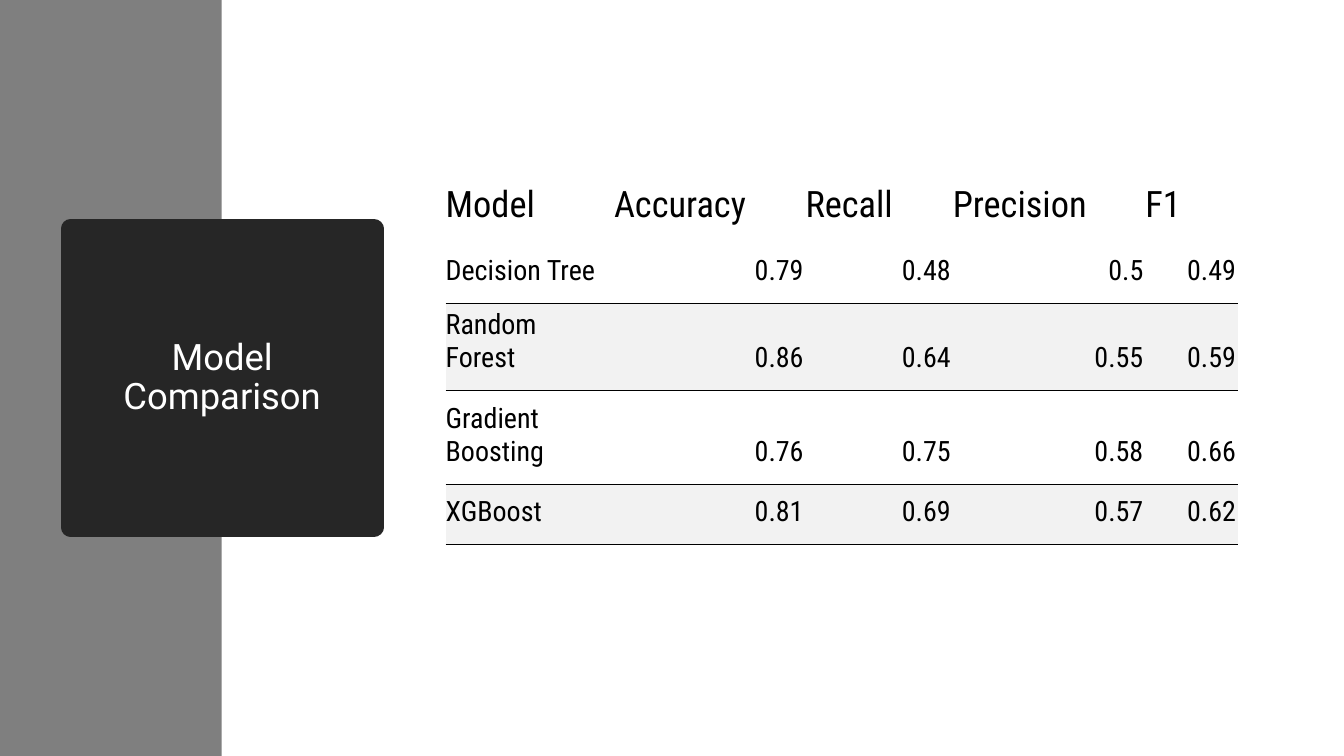
from dataclasses import dataclass

from lxml.etree import SubElement
from pptx import Presentation
from pptx.dml.color import RGBColor as RGB
from pptx.enum.shapes import MSO_SHAPE as SHAPE
from pptx.enum.text import MSO_ANCHOR as ANCHOR, MSO_AUTO_SIZE as AUTO, PP_ALIGN as ALIGN
from pptx.oxml.ns import qn
from pptx.util import Inches, Pt


@dataclass(frozen=True)
class Theme:
    """Colours, fonts and type sizes of the slide."""
    band: RGB = RGB(0x7F, 0x7F, 0x7F)
    card: RGB = RGB(0x26, 0x26, 0x26)
    stripe: RGB = RGB(0xF2, 0xF2, 0xF2)
    white: RGB = RGB(0xFF, 0xFF, 0xFF)
    black: RGB = RGB(0, 0, 0)
    title_font: str = "Roboto"
    table_font: str = "Roboto Condensed"
    large: int = 26
    body: int = 20


THEME = Theme()
NO_STYLE = "{2D5ABB26-0587-4C30-8999-92F81FD0307C}"
COL_WIDTHS = (1.67, 1.9, 1.46, 1.91, 0.92)
ROW_HEIGHTS = (0.7, 0.6, 0.6, 0.93, 0.6, 0.65)
HEADER = ("Model", "Accuracy", "Recall", "Precision", "F1")
SCORES = (
    ("Decision Tree", "0.79", "0.48", "0.5", "0.49"),
    ("Random Forest", "0.86", "0.64", "0.55", "0.59"),
    ("Gradient Boosting", "0.76", "0.75", "0.58", "0.66"),
    ("XGBoost", "0.81", "0.69", "0.57", "0.62"),
)


def add_run(p, text, font, size, color):
    """Add one formatted run to a paragraph."""
    r = p.add_run()
    r.text = text
    r.font.name, r.font.size = font, Pt(size)
    r.font.color.rgb = color


def add_band(slide, x, y, w, h):
    """Draw the plain side band."""
    sp = slide.shapes.add_shape(SHAPE.RECTANGLE, Inches(x), Inches(y), Inches(w), Inches(h))
    sp.shadow.inherit = False
    sp.fill.solid()
    sp.fill.fore_color.rgb = THEME.band
    sp.line.fill.background()


def add_title_card(slide, x, y, w, h):
    """Format the title as a dark card in front of the band."""
    sp = slide.shapes.title
    sp.left, sp.top, sp.width, sp.height = (Inches(v) for v in (x, y, w, h))
    sp.fill.solid()
    sp.fill.fore_color.rgb = THEME.card
    sp.line.color.rgb = THEME.card
    sp.line.width = Pt(13.75)
    SubElement(sp.line._get_or_add_ln(), qn("a:round"))
    tf = sp.text_frame
    tf.word_wrap, tf.auto_size = True, AUTO.NONE
    tf.vertical_anchor = ANCHOR.MIDDLE
    p = tf.paragraphs[0]
    p.alignment, p.line_spacing = ALIGN.CENTER, 0.9
    add_run(p, "Model Comparison", THEME.title_font, THEME.large, THEME.white)
    slide.shapes._spTree.append(sp._element)


def set_border(cell, side):
    """Rule one side of a cell, ahead of its fill."""
    tcPr = cell._tc.get_or_add_tcPr()
    ln = SubElement(tcPr, qn(f"a:{side}"), w=str(Pt(0.75)))
    fill = SubElement(ln, qn("a:solidFill"))
    SubElement(fill, qn("a:srgbClr"), val=str(THEME.black))
    tcPr.insert(0, ln)


def fill_cell(cell, text, row, col):
    """Write and format one cell by its place in the table."""
    header = row == 0
    cell.vertical_anchor = ANCHOR.BOTTOM
    cell.margin_left, cell.margin_bottom = 0, Inches(0.16)
    cell.margin_right = Inches(0.37 if header else 0.02)
    cell.margin_top = Inches(0.03 if header else 0.05)
    p = cell.text_frame.paragraphs[0]
    p.alignment = ALIGN.LEFT if header or col == 0 else ALIGN.RIGHT
    size = THEME.large if header else THEME.body
    add_run(p, text, THEME.table_font, size, THEME.black)
    if header:
        return
    if row % 2:
        set_border(cell, "lnB")
    else:
        cell.fill.solid()
        cell.fill.fore_color.rgb = THEME.stripe
        set_border(cell, "lnT")


def add_score_table(slide, x, y):
    """Place the table of model scores, with its empty last row."""
    frame = slide.shapes.add_table(
        len(ROW_HEIGHTS), len(COL_WIDTHS), Inches(x), Inches(y),
        Inches(sum(COL_WIDTHS)), Inches(sum(ROW_HEIGHTS)))
    table = frame.table
    table.first_row = table.horz_banding = False
    table._tbl.tblPr.find(qn("a:tableStyleId")).text = NO_STYLE
    for column, width in zip(table.columns, COL_WIDTHS):
        column.width = Inches(width)
    for row, height in zip(table.rows, ROW_HEIGHTS):
        row.height = Inches(height)
    for cell in table.iter_cells():
        cell.fill.background()
    for i, values in enumerate((HEADER, *SCORES)):
        for j, text in enumerate(values):
            fill_cell(table.cell(i, j), text, i, j)


def main():
    """Build and save the slide."""
    prs = Presentation()
    prs.slide_width, prs.slide_height = Inches(13.33), Inches(7.5)
    slide = prs.slides.add_slide(prs.slide_layouts[5])
    add_band(slide, 0, 0, 2.2, 7.5)
    add_title_card(slide, 0.7, 2.27, 3.01, 2.96)
    add_score_table(slide, 4.42, 1.71)
    prs.save("out.pptx")


if __name__ == "__main__":
    main()
